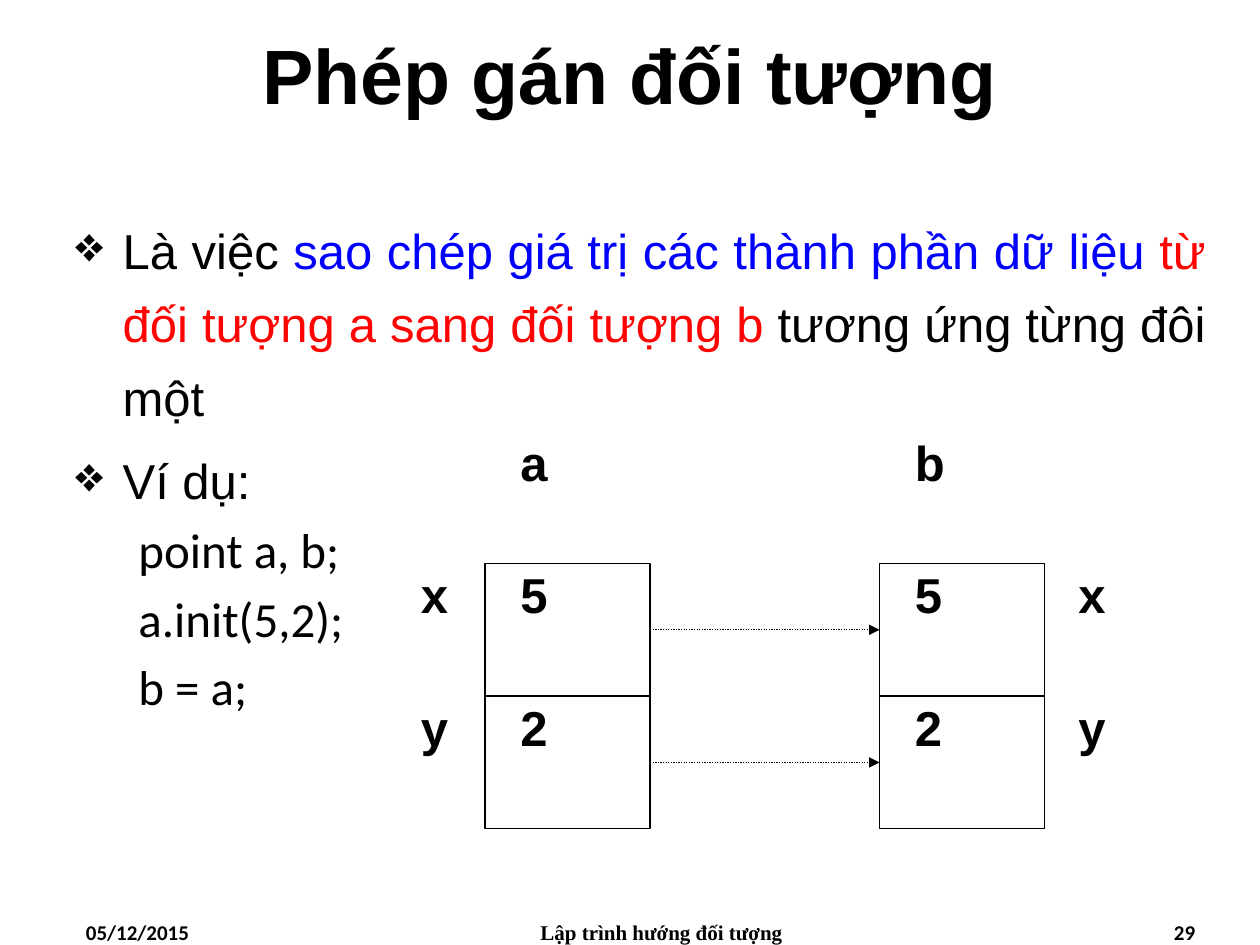
from dataclasses import dataclass
from lxml.etree import SubElement
from pptx import Presentation
from pptx.dml.color import RGBColor as RGB
from pptx.enum.dml import MSO_LINE
from pptx.enum.shapes import MSO_CONNECTOR as Connector, MSO_SHAPE as Shape
from pptx.enum.text import MSO_ANCHOR as Anchor, PP_ALIGN as Align
from pptx.oxml.ns import qn
from pptx.util import Pt


@dataclass(frozen=True)
class Theme:
    black: RGB = RGB(0, 0, 0)
    blue: RGB = RGB(0, 0, 255)
    red: RGB = RGB(255, 3, 3)
    sans: str = "Arial"
    code: str = "Calibri"
    serif: str = "Times New Roman"
    title: float = 44
    body: float = 28
    footer: float = 12
    line: float = 0.75


THEME = Theme()


def set_font(para, name, size, bold=False):
    font = para.font
    font.name, font.size, font.bold = name, Pt(size), bold
    font.color.rgb = THEME.black


def add_box(page, left, top, width, height, inset=None):
    box = page.shapes.add_textbox(Pt(left), Pt(top), Pt(width), Pt(height))
    frame = box.text_frame
    frame.word_wrap = True
    if inset is not None:
        frame.margin_left = frame.margin_right = Pt(inset)
        frame.margin_top = frame.margin_bottom = Pt(inset)
    return frame


def add_text(page, place, text, name, size, align=Align.LEFT, inset=None):
    frame = add_box(page, *place, inset=inset)
    para = frame.paragraphs[0]
    para.text, para.alignment = text, align
    set_font(para, name, size, bold=True)
    return frame


def indent(para, left, first, bullet=None):
    props = para._p.get_or_add_pPr()
    props.set("marL", str(Pt(left)))
    props.set("indent", str(Pt(first)))
    if bullet:
        SubElement(props, qn("a:buChar"), char=bullet)


def add_bullet(para, spans):
    para.alignment, para.line_spacing = Align.JUSTIFY, 1.25
    indent(para, 27, -27, "❖")
    set_font(para, THEME.sans, THEME.body)
    for text, color in spans:
        span = para.add_run()
        span.text = text
        span.font.color.rgb = color


def add_code(para, text):
    para.text = text
    indent(para, 58.5, -22.5)
    set_font(para, THEME.code, THEME.body)


def add_line(page, start, end, arrow=False):
    line = page.shapes.add_connector(
        Connector.STRAIGHT, *(Pt(value) for value in (*start, *end)))
    line.line.color.rgb, line.line.width = THEME.black, Pt(THEME.line)
    if arrow:
        line.line.dash_style = MSO_LINE.ROUND_DOT
        SubElement(line.line._get_or_add_ln(), qn("a:tailEnd"), type="triangle")
    SubElement(line._element.spPr, qn("a:effectLst"))


def add_body(page):
    frame = add_box(page, 36, 114, 660, 388)
    bullets = [
        [("Là việc ", THEME.black),
         ("sao chép giá trị các thành phần dữ liệu ", THEME.blue),
         ("từ đối tượng a sang đối tượng b", THEME.red),
         (" tương ứng từng đôi một", THEME.black)],
        [("Ví dụ:", THEME.black)],
    ]
    paras = [frame.paragraphs[0]] + [frame.add_paragraph() for _ in range(4)]
    for para in paras[1:]:
        para.space_before = Pt(5.6)
    for para, spans in zip(paras, bullets):
        add_bullet(para, spans)
    for para, text in zip(paras[2:], ("point a, b;", "a.init(5,2);", "b = a;")):
        add_code(para, text)


def add_object(page, left, top, width, row, name, fields, label_left):
    """A named object: one cell per field, with field labels beside it."""
    rect = page.shapes.add_shape(
        Shape.RECTANGLE, Pt(left), Pt(top), Pt(width), Pt(row * len(fields)))
    rect.shadow.inherit = False
    rect.fill.background()
    rect.line.color.rgb, rect.line.width = THEME.black, Pt(THEME.line)
    add_line(page, (left, top + row), (left + width, top + row))

    def label(text, x, y):
        add_text(page, (x, y, 50, row), text, THEME.sans, THEME.body, inset=0.72)

    label(name, left + 19.5, top - row)
    for index, (field, value) in enumerate(fields):
        y = top + index * row
        label(value, left + 19.5, y)
        label(field, label_left, y)


def add_diagram(page):
    top, row, width = 322, 75.8, 94.3
    left_a, left_b = 277.2, 502.6
    fields = [("x", "5"), ("y", "2")]
    add_object(page, left_a, top, width, row, "a", fields, 239.8)
    add_object(page, left_b, top, width, row, "b", fields, 615.6)
    # Each field of a is copied to the same field of b
    for index in range(len(fields)):
        y = top + (index + 0.5) * row
        add_line(page, (left_a + width, y), (left_b, y), arrow=True)


def add_footer(page):
    items = [
        (42, 168, "05/12/2015", THEME.code, Align.LEFT),
        (264, 228, "Lập trình hướng đối tượng", THEME.serif, Align.CENTER),
        (522, 168, "29", THEME.code, Align.RIGHT),
    ]
    for left, width, text, name, align in items:
        add_text(page, (left, 522, width, 18), text, name, THEME.footer, align)


def main():
    deck = Presentation()
    deck.slide_width, deck.slide_height = Pt(720), Pt(540)
    page = deck.slides.add_slide(deck.slide_layouts[6])
    # Title
    title = add_text(page, (0, 0, 720, 84), "Phép gán đối tượng",
                     THEME.sans, THEME.title, Align.CENTER)
    title.vertical_anchor = Anchor.MIDDLE
    # Explanation, diagram and footer
    add_body(page)
    add_diagram(page)
    add_footer(page)
    deck.save("out.pptx")


if __name__ == "__main__":
    main()
